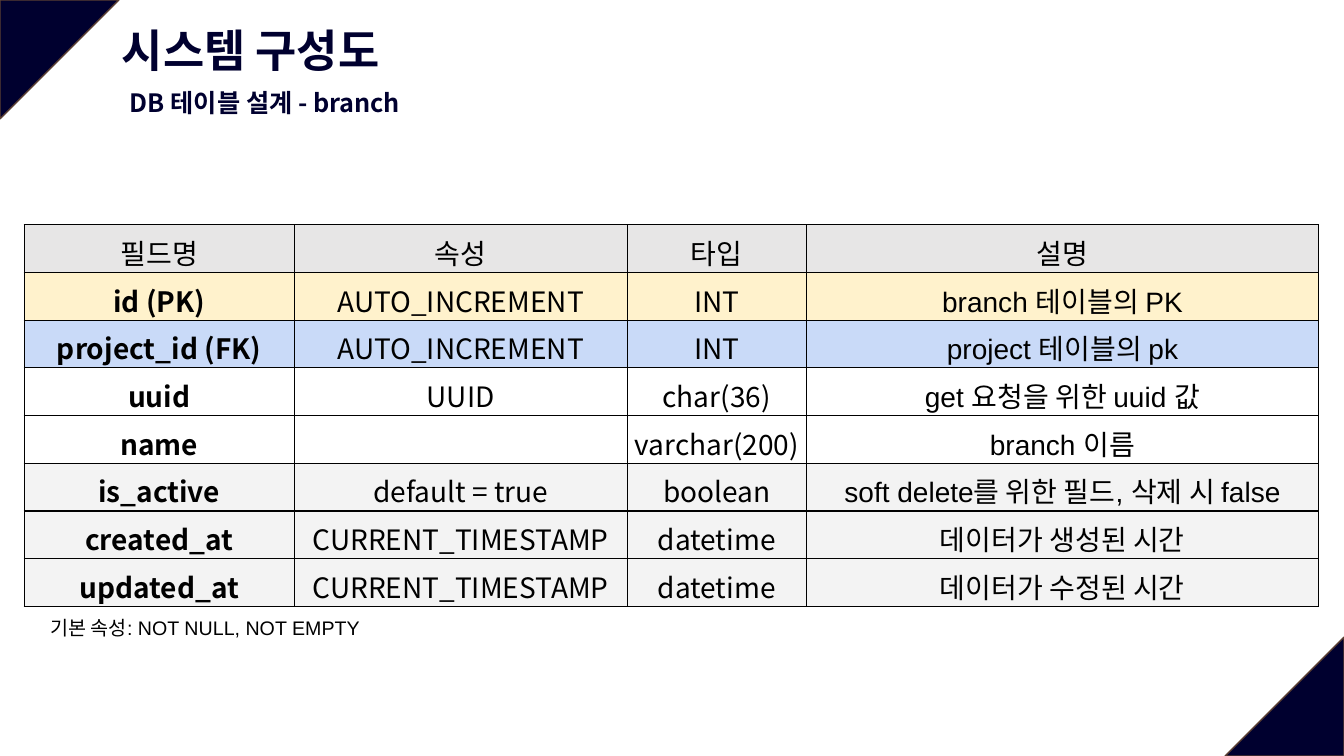
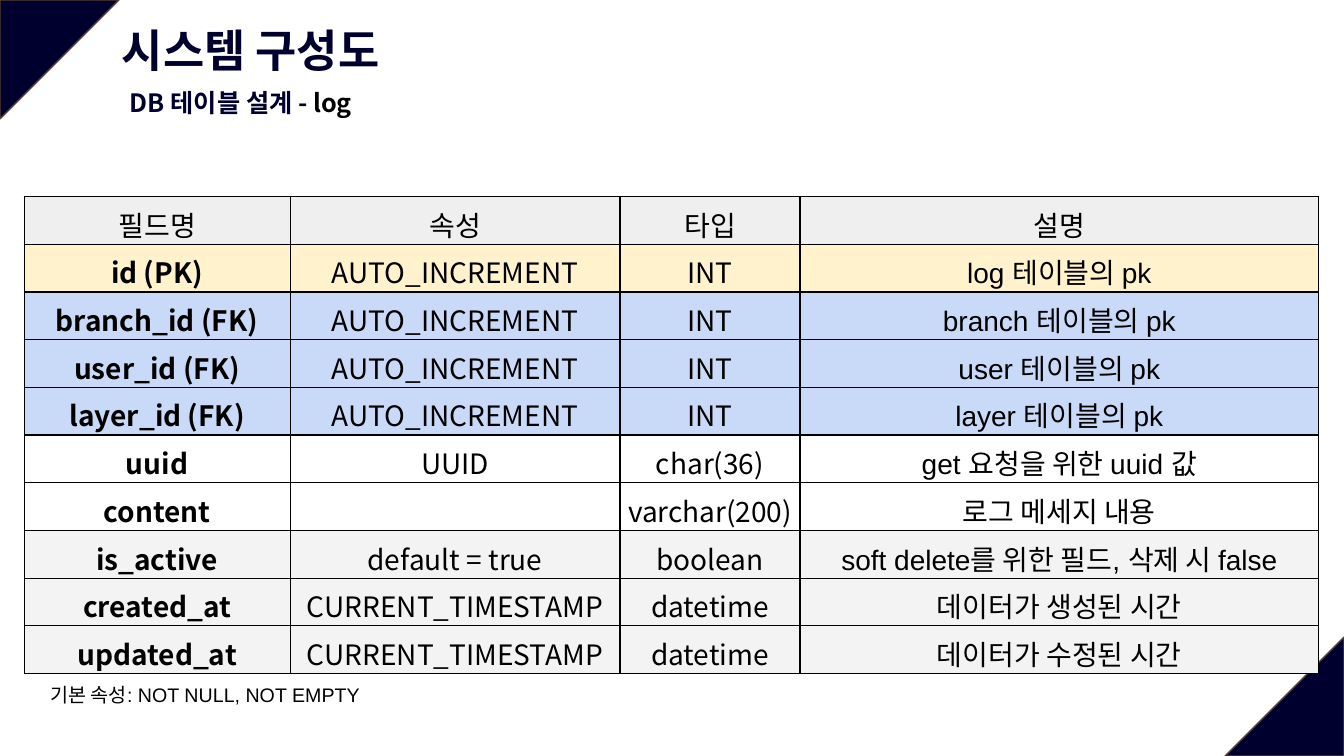
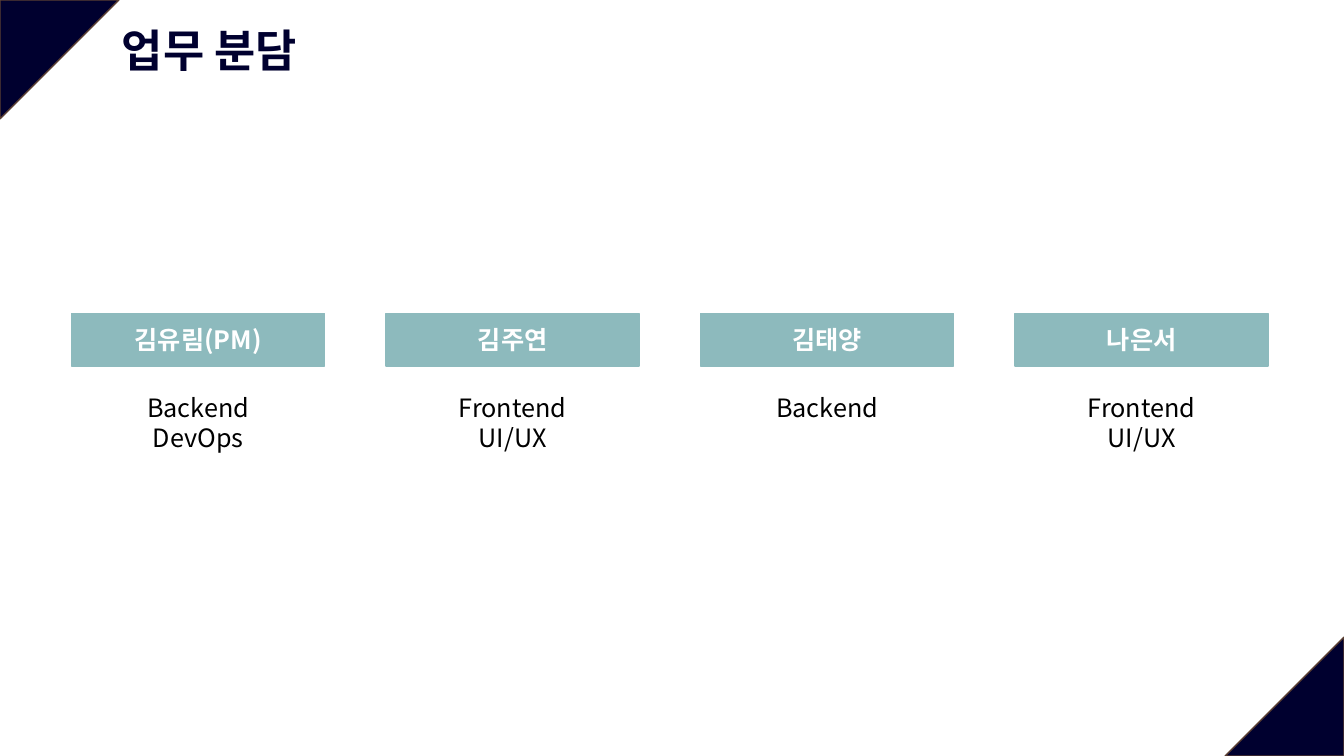
from lxml.etree import SubElement
from pptx import Presentation
from pptx.dml.color import RGBColor
from pptx.enum.shapes import MSO_SHAPE
from pptx.enum.text import MSO_ANCHOR, MSO_AUTO_SIZE, PP_ALIGN
from pptx.oxml.ns import qn
from pptx.util import Inches, Pt

NAVY, BROWN, TEAL = "00002F", "5B3F33", "8DBABD"
BLACK, WHITE = "000000", "FFFFFF"
YELLOW, BLUE, GRAY = "FFF2CC", "C9DAF8", "F3F3F3"
SANS, ARIAL = "Noto Sans CJK KR", "Arial"
ROW = 6.3  # table row, percent of slide height

HEADER = ("필드명", "속성", "타입", "설명")
UUID = (None, "uuid", "UUID", "char(36)", "get 요청을 위한 uuid 값")
STATUS = [
    (GRAY, "is_active", "default = true", "boolean", "soft delete를 위한 필드, 삭제 시 false"),
    (GRAY, "created_at", "CURRENT_TIMESTAMP", "datetime", "데이터가 생성된 시간"),
    (GRAY, "updated_at", "CURRENT_TIMESTAMP", "datetime", "데이터가 수정된 시간"),
]
MEMBERS = [
    ("김유림(PM)", ["Backend", "DevOps"]),
    ("김주연", ["Frontend", "UI/UX"]),
    ("김태양", ["Backend"]),
    ("나은서", ["Frontend", "UI/UX"]),
]


def rgb(color):
    return RGBColor.from_string(color)


def key_row(color, field, note):
    return color, field, "AUTO_INCREMENT", "INT", note


class Deck:
    """Holds the style and the current slide; lengths are percent of the slide."""

    def __init__(self):
        self.prs = Presentation()
        self.prs.slide_width, self.prs.slide_height = Inches(13.33), Inches(7.5)

    def box(self, x, y, w, h):
        """Turn percentages into left, top, width and height."""
        sw, sh = self.prs.slide_width, self.prs.slide_height
        return [round(v * full / 100) for v, full in zip((x, y, w, h), (sw, sh, sw, sh))]

    def slide(self, title):
        self.s = self.prs.slides.add_slide(self.prs.slide_layouts[6])
        w, h = 8.85, 15.73
        for x, y, turn in ((0, 0, 90), (100 - w, 100 - h, 270)):
            sp = self.shape(MSO_SHAPE.ISOSCELES_TRIANGLE, x, y, w, h, NAVY, BROWN)
            sp.adjustments[0] = 0
            sp.rotation = turn
        self.text([title], 8.33, 2.4, 27.45, 8.53, 32, NAVY, bold=True)

    def shape(self, kind, x, y, w, h, fill, line):
        sp = self.s.shapes.add_shape(kind, *self.box(x, y, w, h))
        sp.shadow.inherit = False
        sp.fill.solid()
        sp.fill.fore_color.rgb = rgb(fill)
        sp.line.color.rgb = rgb(line)
        sp.line.width = Pt(1)
        return sp

    def style(self, p, size, color, font=SANS, bold=False, align=PP_ALIGN.LEFT):
        p.alignment = align
        p.font.size, p.font.bold, p.font.name = Pt(size), bold, font
        p.font.color.rgb = rgb(color)
        SubElement(p._p.pPr.find(qn("a:defRPr")), qn("a:ea"), typeface=SANS)

    def text(self, lines, x, y, w, h, size, color, pad=0.05, **look):
        tf = self.s.shapes.add_textbox(*self.box(x, y, w, h)).text_frame
        tf.word_wrap = True
        tf.auto_size = MSO_AUTO_SIZE.SHAPE_TO_FIT_TEXT
        tf.margin_top = tf.margin_bottom = Inches(pad)
        tf.text = "\n".join(lines)
        for p in tf.paragraphs:
            self.style(p, size, color, **look)
        return tf

    def subtitle(self, name, color):
        tf = self.text(["DB 테이블 설계 - "], 8.93, 10.93, 27.45, 5.33, 18, NAVY,
                       bold=True, align=PP_ALIGN.JUSTIFY)
        r = tf.paragraphs[0].add_run()
        r.text = name
        r.font.color.rgb = rgb(color)

    def cell(self, cell, text, fill, font, bold):
        cell.margin_left = cell.margin_right = Inches(0.07)
        cell.margin_top = cell.margin_bottom = Inches(0.07)
        for side in ("a:lnL", "a:lnR", "a:lnT", "a:lnB"):
            ln = SubElement(cell._tc.get_or_add_tcPr(), qn(side), w=str(Pt(1)))
            SubElement(SubElement(ln, qn("a:solidFill")), qn("a:srgbClr"), val=BLACK)
        if fill:
            cell.fill.solid()
            cell.fill.fore_color.rgb = rgb(fill)
        else:
            cell.fill.background()
        cell.text = text
        self.style(cell.text_frame.paragraphs[0], 20, BLACK, font, bold, PP_ALIGN.CENTER)

    def table(self, y, widths, head_fill, rows):
        """Draw the field table, with the note on default attributes right below."""
        rows = [(head_fill, *HEADER), *rows]
        height = ROW * len(rows)
        frame = self.s.shapes.add_table(len(rows), len(widths),
                                        *self.box(1.8, y, sum(widths), height))
        tbl = frame.table
        tbl.first_row = tbl.horz_banding = False
        for col, width in zip(tbl.columns, widths):
            col.width = self.box(0, 0, width, 0)[2]
        for i, (fill, *texts) in enumerate(rows):
            for j, text in enumerate(texts):
                font = ARIAL if j == len(texts) - 1 else SANS
                self.cell(tbl.cell(i, j), text, fill, font, bold=i > 0 and j == 0)
        self.text(["기본 속성: NOT NULL, NOT EMPTY"], 3, y + height, 74.1, 5.87, 14, BLACK,
                  pad=0.1, font=ARIAL)

    def member(self, col, name, roles):
        x, w = 5.33 + 23.4 * col, 18.83
        tf = self.shape(MSO_SHAPE.RECTANGLE, x, 41.47, w, 6.93, TEAL, TEAL).text_frame
        tf.vertical_anchor = MSO_ANCHOR.MIDDLE
        tf.text = name
        self.style(tf.paragraphs[0], 18, WHITE, bold=True, align=PP_ALIGN.CENTER)
        self.text(roles, x, 51.2, w, 1.33 + 4.07 * len(roles), 18, BLACK,
                  align=PP_ALIGN.CENTER)


def main():
    deck = Deck()

    deck.slide("시스템 구성도")
    deck.subtitle("branch", NAVY)
    deck.table(29.73, (20.09, 24.78, 13.32, 38.13), "E7E6E6", [
        key_row(YELLOW, "id (PK)", "branch 테이블의 PK"),
        key_row(BLUE, "project_id (FK)", "project 테이블의 pk"),
        UUID,
        (None, "name", "", "varchar(200)", "branch 이름"),
        *STATUS,
    ])

    deck.slide("시스템 구성도")
    deck.subtitle("log", BLACK)
    deck.table(26, (19.79, 24.55, 13.39, 38.58), "EFEFEF", [
        key_row(YELLOW, "id (PK)", "log 테이블의 pk"),
        *(key_row(BLUE, f"{name}_id (FK)", f"{name} 테이블의 pk")
          for name in ("branch", "user", "layer")),
        UUID,
        (None, "content", "", "varchar(200)", "로그 메세지 내용"),
        *STATUS,
    ])

    deck.slide("업무 분담")
    for col, (name, roles) in enumerate(MEMBERS):
        deck.member(col, name, roles)

    deck.prs.save("out.pptx")


if __name__ == "__main__":
    main()
